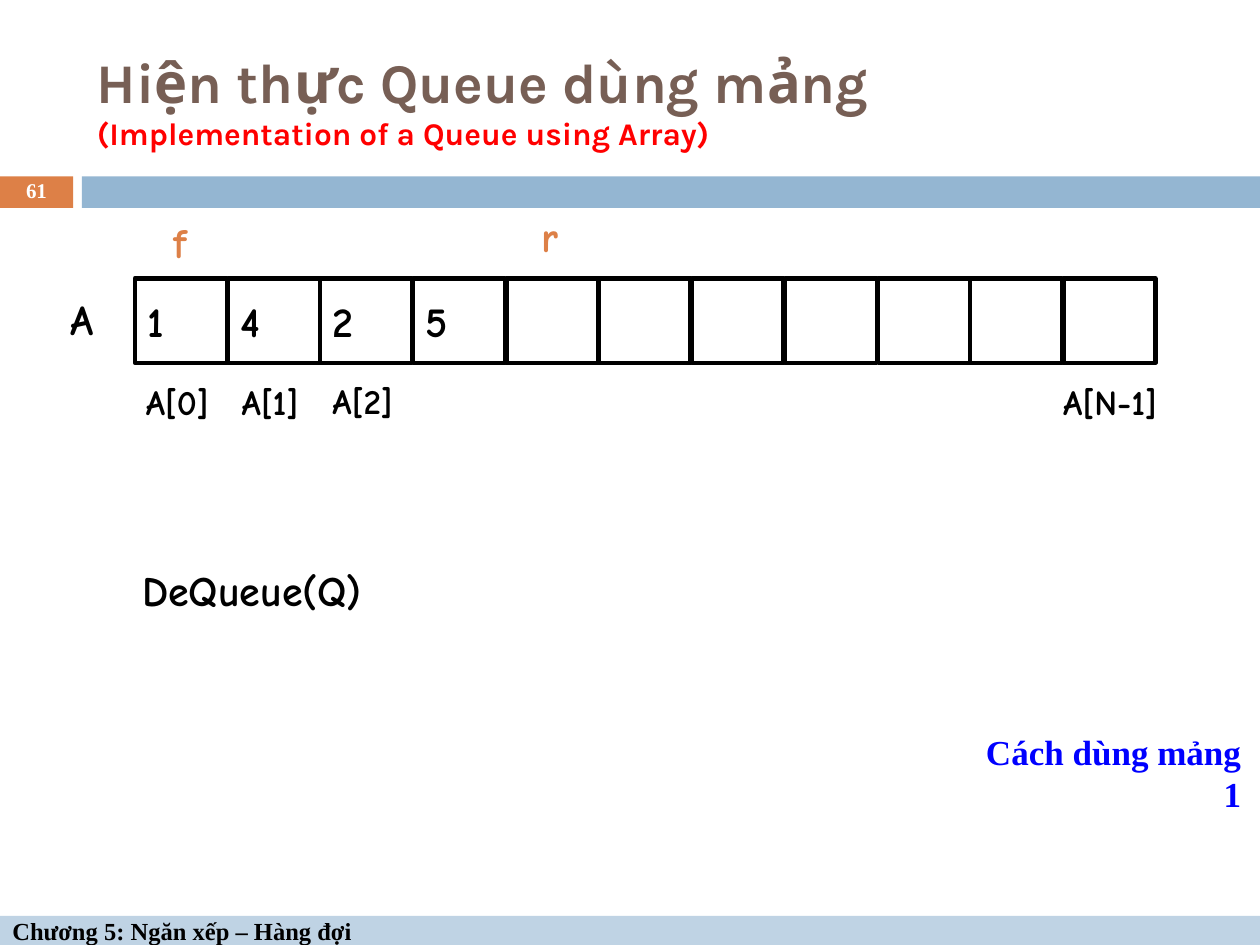
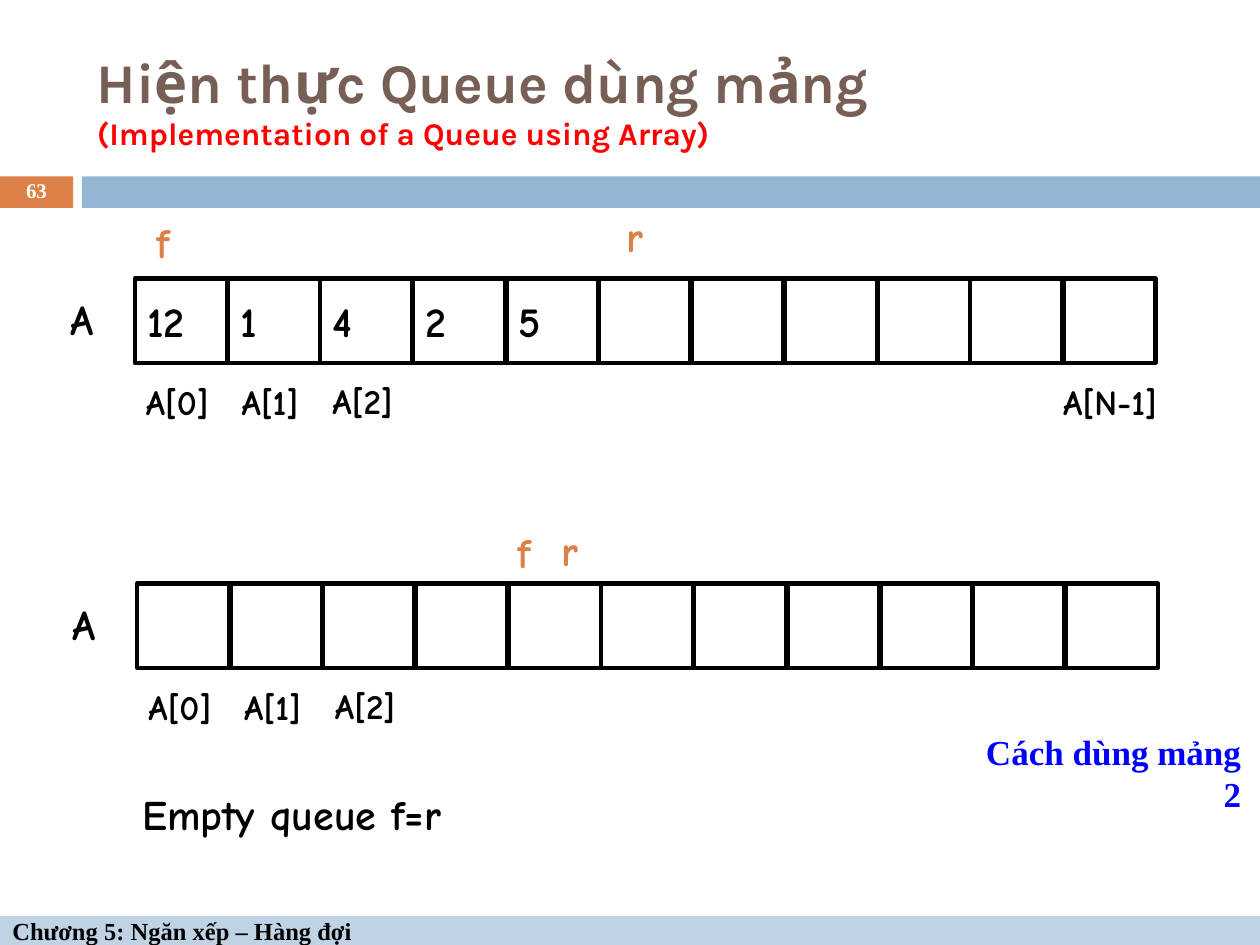
from collections import namedtuple
from dataclasses import dataclass

from pptx import Presentation
from pptx import util as u
from pptx.dml import color
from pptx.enum import shapes, text

PX = 9144
Box = namedtuple("Box", "left top width height")


@dataclass(frozen=True)
class Theme:
    orange: str = "DD8047"
    band: str = "94B6D2"
    footer: str = "BFD3E4"
    brown: str = "775F55"
    red: str = "FF0000"
    blue: str = "0000FF"
    black: str = "000000"
    white: str = "FFFFFF"
    heading: str = "Karla"
    drawing: str = "Comic Neue"
    plain: str = "Times New Roman"
    title_size: int = 32
    subtitle_size: int = 18
    value_size: int = 24
    index_size: int = 20
    footer_size: int = 14
    number_size: int = 12
    outline: float = 2.5


THEME = Theme()
SLIDE = Box(0, 0, 1000, 750)
CELL = Box(0, 0, 73, 67)
CELL_COUNT = 11
CELL_SPAN = 737
FIRST_INDEXES = (("A[0]", -1, 76, 103), ("A[1]", 75, 76, 93), ("A[2]", 147, 75, 88))
LAST_INDEX = ("A[N-1]", 727, 76, 154)


def emu(box):
    return [n * PX for n in box]


def apply(target, values):
    for name, value in values.items():
        setattr(target, name, value)


def write(frame, runs, face, align=text.PP_ALIGN.LEFT, **frame_format):
    apply(frame, {"word_wrap": True, **frame_format})
    paragraph = frame.paragraphs[0]
    paragraph.alignment = align
    for i, (words, size, tint) in enumerate(runs):
        if i:
            paragraph.add_line_break()
        run = paragraph.add_run()
        run.text = words
        apply(run.font, {"name": face, "size": u.Pt(size), "bold": True})
        run.font.color.rgb = color.RGBColor.from_string(tint)
    return paragraph


def add_text(slide, box, runs, face, **options):
    return write(slide.shapes.add_textbox(*emu(box)).text_frame, runs, face, **options)


def add_rect(slide, box, fill=None, outline=None):
    rect = slide.shapes.add_shape(shapes.MSO_SHAPE.RECTANGLE, *emu(box))
    rect.shadow.inherit = False
    for part, tint in ((rect.fill, fill), (rect.line.fill, outline)):
        if tint:
            part.solid()
            part.fore_color.rgb = color.RGBColor.from_string(tint)
        else:
            part.background()
    if outline:
        rect.line.width = u.Pt(THEME.outline)
    return rect


def add_label(slide, box, words, size=THEME.value_size, tint=THEME.black):
    add_text(slide, box, [(words, size, tint)], THEME.drawing,
             auto_size=text.MSO_AUTO_SIZE.SHAPE_TO_FIT_TEXT)


def add_header(slide, box, number):
    add_rect(slide, Box(box.left, box.top + 140, 58, 25), THEME.orange)
    add_rect(slide, Box(box.left + 65, box.top + 140, box.width - 65, 25), THEME.band)
    add_text(slide, Box(box.left + 67, box.top + 25, 892, 108),
             [("Hiện thực Queue dùng mảng", THEME.title_size, THEME.brown),
              ("(Implementation of a Queue using Array)", THEME.subtitle_size, THEME.red)],
             THEME.heading, vertical_anchor=text.MSO_ANCHOR.MIDDLE)
    slide_number = add_text(slide, Box(box.left, box.top + 139, 58, 27),
                            [(str(number), THEME.number_size, THEME.white)], THEME.plain,
                            align=text.PP_ALIGN.CENTER,
                            vertical_anchor=text.MSO_ANCHOR.MIDDLE)
    slide_number.line_spacing = 0.8


def add_footer(slide, box):
    write(add_rect(slide, box, THEME.footer).text_frame,
          [("Chương 5: Ngăn xếp – Hàng đợi", THEME.footer_size, THEME.black)],
          THEME.plain, vertical_anchor=text.MSO_ANCHOR.MIDDLE)


def add_array(slide, box, values, pointers, indexes):
    for i in range(CELL_COUNT):
        left = box.left + round(i * CELL_SPAN / (CELL_COUNT - 1))
        cell = add_rect(slide, Box(left, box.top, CELL.width, box.height),
                        outline=THEME.black)
        if i < len(values):
            write(cell.text_frame, [(values[i], THEME.value_size, THEME.black)],
                  THEME.drawing, vertical_anchor=text.MSO_ANCHOR.MIDDLE)
    add_label(slide, Box(box.left - 61, box.top + 7, 76, 50), "A")
    for name, x, y, width in indexes:
        add_label(slide, Box(box.left + x, box.top + y, width, 44), name, THEME.index_size)
    for name, (x, y) in pointers.items():
        add_label(slide, Box(box.left + x, box.top + y, 72, 50), name, tint=THEME.orange)


def add_method(slide, box, method):
    add_text(slide, box, [(f"Cách dùng mảng {method}", THEME.index_size, THEME.blue)],
             THEME.plain, align=text.PP_ALIGN.RIGHT, word_wrap=False,
             auto_size=text.MSO_AUTO_SIZE.SHAPE_TO_FIT_TEXT)


def add_queue_slide(deck, number, method, operation, operation_top, arrays):
    slide = deck.slides.add_slide(deck.slide_layouts[6])
    add_header(slide, Box(0, 0, SLIDE.width, 165), number)
    add_footer(slide, Box(0, 727, SLIDE.width, 23))
    for (left, top), *content in arrays:
        add_array(slide, Box(left, top, CELL_SPAN + CELL.width, CELL.height), *content)
    add_label(slide, Box(103, operation_top, 885, 50), operation)
    add_method(slide, Box(752, 575, 243, 44), method)


def main():
    deck = Presentation()
    apply(deck, {"slide_width": SLIDE.width * PX, "slide_height": SLIDE.height * PX})
    all_indexes = (*FIRST_INDEXES, LAST_INDEX)
    upper, lower = (107, 221), (109, 463)
    add_queue_slide(deck, 61, 1, "DeQueue(Q)", 443, [
        (upper, ("1", "4", "2", "5"), {"f": (21, -54), "r": (313, -59)}, all_indexes),
    ])
    add_queue_slide(deck, 63, 2, "Empty queue f=r", 621, [
        (upper, ("12", "1", "4", "2", "5"), {"f": (7, -54), "r": (380, -59)}, all_indexes),
        (lower, (), {"f": (292, -50), "r": (327, -52)}, FIRST_INDEXES),
    ])
    deck.save("out.pptx")


if __name__ == "__main__":
    main()
